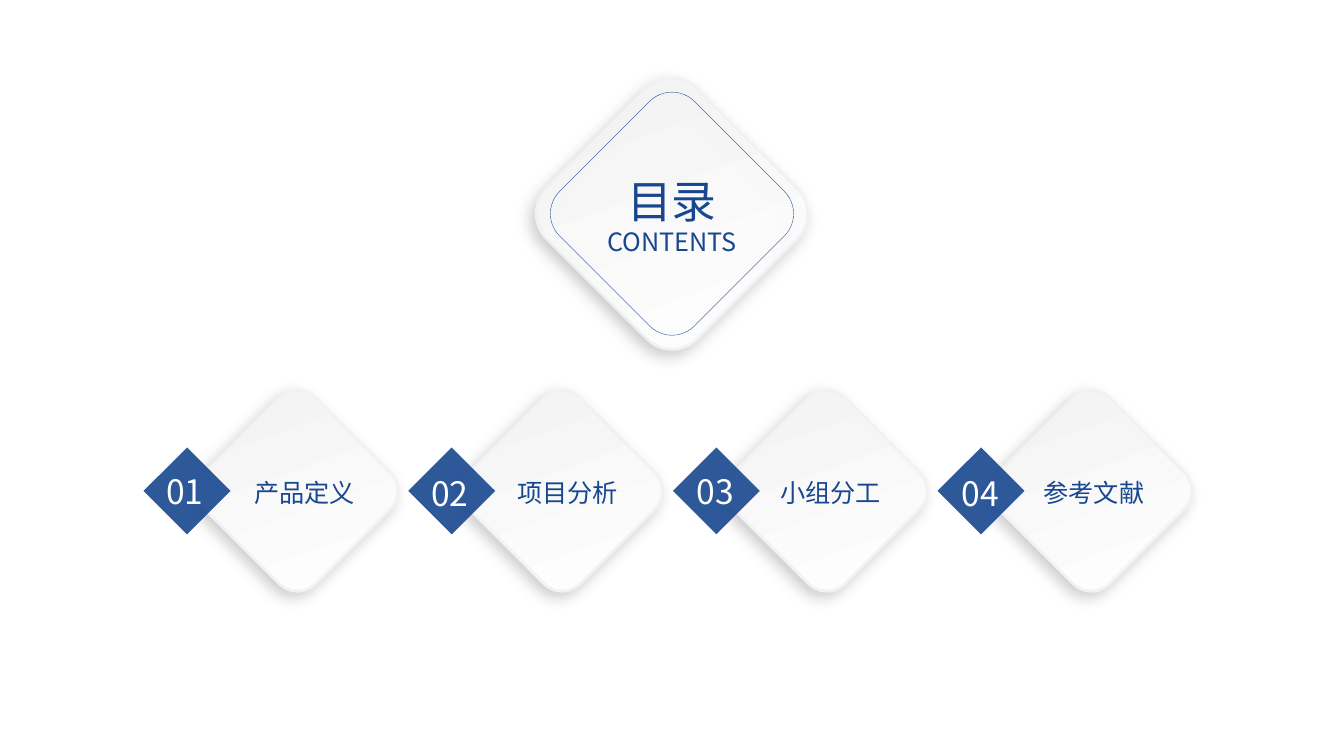
"""Build a contents slide with a large title diamond and four numbered topic diamonds."""
import pptx
import pptx.util
import pptx.dml.color
import pptx.enum.shapes
import pptx.enum.text
import pptx.oxml
import pptx.oxml.ns

Inches, Pt = pptx.util.Inches, pptx.util.Pt
RGB = pptx.dml.color.RGBColor.from_string
Kind = pptx.enum.shapes.MSO_SHAPE
Align = pptx.enum.text.PP_ALIGN
qn = pptx.oxml.ns.qn

COLORS = {"navy": "18478F", "white": "FFFFFF", "pale": "F2F2F2", "shade": "000000"}
FONT = "Noto Sans CJK SC"
SHADOW = (
    f'<a:effectLst {pptx.oxml.ns.nsdecls("a")}>'
    '<a:outerShdw blurRad="139700" dist="63500" dir="8100000" algn="tr" rotWithShape="0">'
    f'<a:srgbClr val="{COLORS["shade"]}"><a:alpha val="20000"/></a:srgbClr>'
    "</a:outerShdw></a:effectLst>"
)

deck = pptx.Presentation()
deck.slide_width, deck.slide_height = Inches(13.33), Inches(7.5)
slide = deck.slides.add_slide(deck.slide_layouts[5])
shapes = slide.shapes
MID = 13.33 / 2


def tile(x, y, side, filled=True):
    """Add a soft rounded diamond centred on x, y."""
    box = shapes.add_shape(
        Kind.ROUNDED_RECTANGLE,
        Inches(x - side / 2), Inches(y - side / 2), Inches(side), Inches(side),
    )
    box.rotation = 45
    if filled:
        box.fill.gradient()
        box.fill.gradient_angle = 110
        for stop, name, place in zip(box.fill.gradient_stops, ("white", "pale"), (0, 1)):
            stop.color.rgb = RGB(COLORS[name])
            stop.position = place
        box._element.spPr.find(qn("a:gradFill")).set("rotWithShape", "0")
    else:
        box.fill.background()
    box.line.color.rgb = RGB(COLORS["pale" if filled else "navy"])
    box.line.width = Pt(2 if filled else 0.25)
    box._element.spPr.append(pptx.oxml.parse_xml(SHADOW))


def label(text, x, y, wide, high, size, color="navy", box=None, wrap=True):
    """Write one line of text in a new box or in the one given."""
    box = box or shapes.add_textbox(0, 0, 0, 0)
    box.left, box.top, box.width, box.height = map(Inches, (x, y, wide, high))
    frame = box.text_frame
    frame.word_wrap = wrap
    frame.auto_size = pptx.enum.text.MSO_AUTO_SIZE.SHAPE_TO_FIT_TEXT
    frame.vertical_anchor = pptx.enum.text.MSO_ANCHOR.TOP
    para = frame.paragraphs[0]
    para.alignment = Align.CENTER if wrap else Align.LEFT
    run = para.add_run()
    run.text = text
    run.font.size = Pt(size)
    run.font.name = FONT
    run.font.color.rgb = RGB(COLORS[color])
    face = run._r.get_or_add_rPr().makeelement(qn("a:ea"), {"typeface": FONT})
    run.font._element.find(qn("a:latin")).addnext(face)


tile(MID, 2.12, 2.11)
tile(MID, 2.12, 1.89, filled=False)
title = shapes.title
shapes._spTree.append(title._element)
label("目录", MID - 1.255, 1.67, 2.51, 0.64, 32, box=title)
label("CONTENTS", MID - 1.255, 2.2, 2.51, 0.4, 18)

STEP, ROW, BADGE = 2.625, 4.87, 0.61
for col, topic in enumerate(("产品定义", "项目分析", "小组分工", "参考文献")):
    shift = col * STEP
    tile(2.95 + shift, ROW, 1.56)
    badge = shapes.add_shape(
        Kind.RECTANGLE,
        Inches(1.55 + shift), Inches(ROW - BADGE / 2), Inches(BADGE), Inches(BADGE),
    )
    badge.rotation = 225
    badge.shadow.inherit = False
    badge.line.fill.background()
    badge.fill.solid()
    badge.fill.fore_color.rgb = RGB(COLORS["navy"])
    tint = badge._element.spPr.find(qn("a:solidFill"))[0]
    tint.append(tint.makeelement(qn("a:alpha"), {"val": "90000"}))
    label(topic, 2.2 + col * 2.61, 4.69, 1.64, 0.4, 18)
    label(f"{col + 1:02}", 1.55 + col * 2.63, 4.62 + col % 2 * 0.02, 0.6, 0.5, 24,
          color="white", wrap=False)

deck.save("out.pptx")
